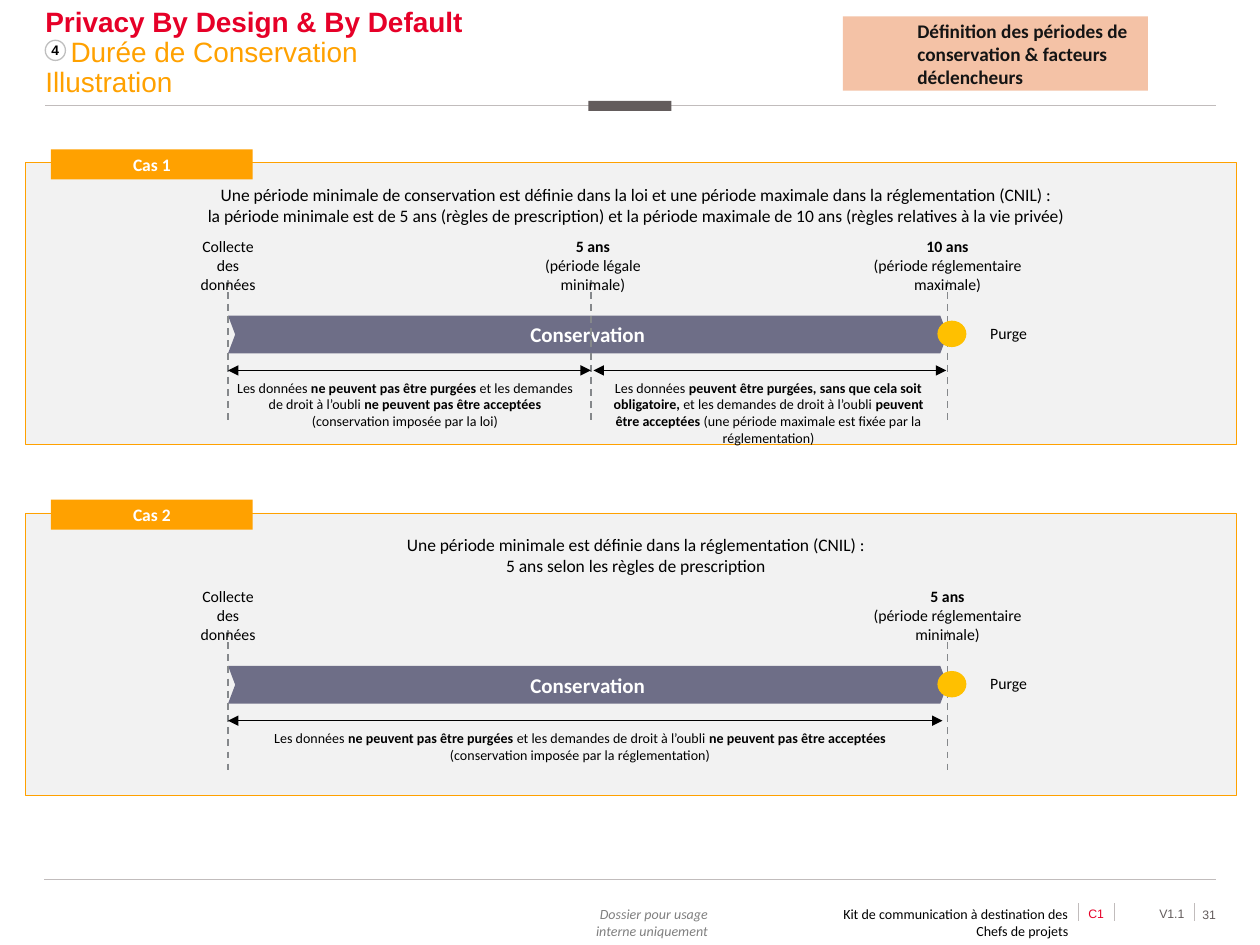
from lxml.etree import SubElement
from pptx import Presentation
from pptx.dml.color import RGBColor
from pptx.enum.dml import MSO_LINE
from pptx.enum.shapes import MSO_CONNECTOR, MSO_SHAPE as Preset
from pptx.enum.text import MSO_ANCHOR as Anchor, PP_ALIGN as Align
from pptx.oxml.ns import qn
from pptx.util import Inches, Pt

rgb = RGBColor.from_string
deck = Presentation()
deck.slide_width, deck.slide_height = Inches(10), Inches(7.5)
slide = deck.slides.add_slide(deck.slide_layouts[6])
UNIT = deck.slide_width / 100  # square grid: 100 columns by 75 rows


def add_block(place, text="", size=9, color="000000", bold=False, align=Align.CENTER,
              anchor=Anchor.TOP, insets=(1, 0.5, 1, 0.5), font="Calibri",
              preset=None, fill=None, border=None, width=0.75):
    """Add a shape, or a text box without preset; **marks** switch bold on and off."""
    box = [round(UNIT * v) for v in place]
    if preset is None:
        block = slide.shapes.add_textbox(*box)
    else:
        block = slide.shapes.add_shape(preset, *box)
        block.shadow.inherit = False
        block.fill.solid()
        block.fill.fore_color.rgb = rgb(fill)
        if border:
            block.line.color.rgb = rgb(border)
            block.line.width = Pt(width)
        else:
            block.line.fill.background()
    if not text:
        return block
    frame = block.text_frame
    frame.word_wrap = True
    frame.vertical_anchor = anchor
    frame.margin_left, frame.margin_top, frame.margin_right, frame.margin_bottom = [
        round(UNIT * v) for v in insets]
    for i, words in enumerate(text.split("\n")):
        paragraph = frame.add_paragraph() if i else frame.paragraphs[0]
        paragraph.alignment = align
        for j, part in enumerate(words.split("**")):
            if part:
                run = paragraph.add_run()
                run.text = part
                run.font.name, run.font.size = font, Pt(size)
                run.font.bold = bold or j % 2 == 1
                run.font.color.rgb = rgb(color)
    return block


def add_line(x1, y1, x2, y2, color="C1BCBC", width=0.5, dashed=False, arrows=False):
    line = slide.shapes.add_connector(
        MSO_CONNECTOR.STRAIGHT, *[round(UNIT * v) for v in (x1, y1, x2, y2)])
    line.line.color.rgb = rgb(color)
    line.line.width = Pt(width)
    if dashed:
        line.line.dash_style = MSO_LINE.DASH
    properties = line.element.spPr
    if arrows:
        for end in ("a:headEnd", "a:tailEnd"):
            SubElement(properties.find(qn("a:ln")), qn(end), type="triangle")
    SubElement(properties, qn("a:effectLst"))


# Header and footer
add_line(3.6, 8.4, 96.5, 8.4)
add_block((46.7, 8, 6.6, 0.8), preset=Preset.RECTANGLE, fill="635C5C")
add_line(3.5, 69.8, 96.5, 69.8)
for x in (85.6, 88.45, 94.8):
    add_line(x, 71.7, x, 73.1)

tight = (0.4, 0.4, 0.4, 0.4)
for place, words, size, color, font, align in (
    ((91, 71.5, 3.4, 2), "V1.1", 7, "635C5C", "Arial", Align.RIGHT),
    ((94.4, 71.6, 2.5, 2), "31", 7, "635C5C", "Arial", Align.RIGHT),
    ((85.5, 71.5, 3, 2), "C1", 7, "E60028", "Arial", Align.CENTER),
    ((65.8, 71.5, 19.4, 2.1), "Kit de communication à destination des Chefs de projets",
     8, "000000", "Calibri", Align.RIGHT),
    ((46.5, 71.5, 10.1, 2.1), "Dossier pour usage interne uniquement",
     8, "808080", "Calibri", Align.RIGHT),
):
    footer = add_block(place, words, size, color, align=align, insets=tight, font=font)
    footer.text_frame.paragraphs[0].runs[0].font.italic = words.startswith("Dossier")

add_block((3.6, 3.2, 1.6, 1.6), "4", 7.9, bold=True, anchor=Anchor.MIDDLE, font="Arial",
          insets=(0, 0, 0, 0), preset=Preset.OVAL, fill="FFFFFF", border="BFBFBF")
title = add_block((3.6, 0.1, 93.5, 8.3),
                  "**Privacy By Design & By Default**\nDurée de Conservation\nIllustration",
                  16, "FFA100", align=Align.LEFT, anchor=Anchor.MIDDLE,
                  insets=(0, 0, 0, 0), font="Arial")
name, topic, _ = title.text_frame.paragraphs
name.runs[0].font.color.rgb = rgb("E60028")
topic._p.get_or_add_pPr().set("marL", str(Inches(0.2)))
for paragraph in title.text_frame.paragraphs:
    paragraph.line_spacing = 0.9

add_block((66.9, 1.3, 24.2, 5.9),
          "Définition des périodes de conservation & facteurs déclencheurs",
          11, "141414", True, Align.LEFT, Anchor.MIDDLE, (5.9, 0, 0, 0),
          preset=Preset.RECTANGLE, fill="F4C2A6")

# Each case: top row, heading, milestones (x, left, width, label), notes (left, width, text), spans
START, END = 18.1, 75.2
collection = (START, 14.6, 7, "Collecte\ndes données")
kept = ("Les données **ne peuvent pas être purgées** et les demandes de droit à l’oubli "
        "**ne peuvent pas être acceptées** (conservation imposée par la ")
cases = (
    (12.9,
     "Une période minimale de conservation est définie dans la loi et une période maximale "
     "dans la réglementation (CNIL) :\n"
     "la période minimale est de 5 ans (règles de prescription) et la période maximale "
     "de 10 ans (règles relatives à la vie privée)",
     (collection,
      (46.9, 40, 14.1, "**5 ans**\n(période légale minimale)"),
      (END, 66.6, 17.2, "**10 ans**\n(période réglementaire maximale)")),
     ((17.7, 28.9, kept + "loi)"),
      (46.9, 28.2, "Les données **peuvent être purgées, sans que cela soit obligatoire,** "
       "et les demandes de droit à l’oubli **peuvent être acceptées** "
       "(une période maximale est fixée par la réglementation)")),
     ((START, 46.9), (47.1, 75.1))),
    (40.7,
     "Une période minimale est définie dans la réglementation (CNIL) :\n"
     "5 ans selon les règles de prescription",
     (collection, (END, 66.9, 16.6, "**5 ans**\n(période réglementaire minimale)")),
     ((17.7, 56.7, kept + "réglementation)"),),
     ((START, 74.8),)),
)

for number, (top, heading, milestones, notes, spans) in enumerate(cases, 1):
    add_block((2, top, 96.1, 22.4), heading, 10, insets=(1.2, 1.7, 0.4, 0.4),
              preset=Preset.RECTANGLE, fill="F2F2F2", border="FFA100", width=0.25)
    bar = add_block((START, top + 12.15, END - START, 3), "Conservation", 12, "FFFFFF", True,
                    anchor=Anchor.MIDDLE, preset=Preset.CHEVRON, fill="6E6E87")
    bar.adjustments[0] = 0.19
    for x, left, width, label in milestones:
        add_line(x, top + 9.3, x, top + 20.4, "85888B", 1, dashed=True)
        add_block((left, top + 5.4, width, 4), label)
    add_block((74.4, top + 12.55, 2.3, 2.1), preset=Preset.OVAL, fill="FFC000")
    for start, end in spans:
        add_line(start, top + 16.5, end, top + 16.5, "000000", 0.75, arrows=True)
    for left, width, note in notes:
        add_block((left, top + 16.7, width, 3.7), note, 8)
    add_block((76.2, top + 12.3, 7.7, 2.5), "Purge")
    add_block((4.05, top - 1.05, 16, 2.4), f"Cas {number}", 10, "FFFFFF", True,
              anchor=Anchor.MIDDLE, preset=Preset.RECTANGLE, fill="FFA100")

deck.save("out.pptx")
